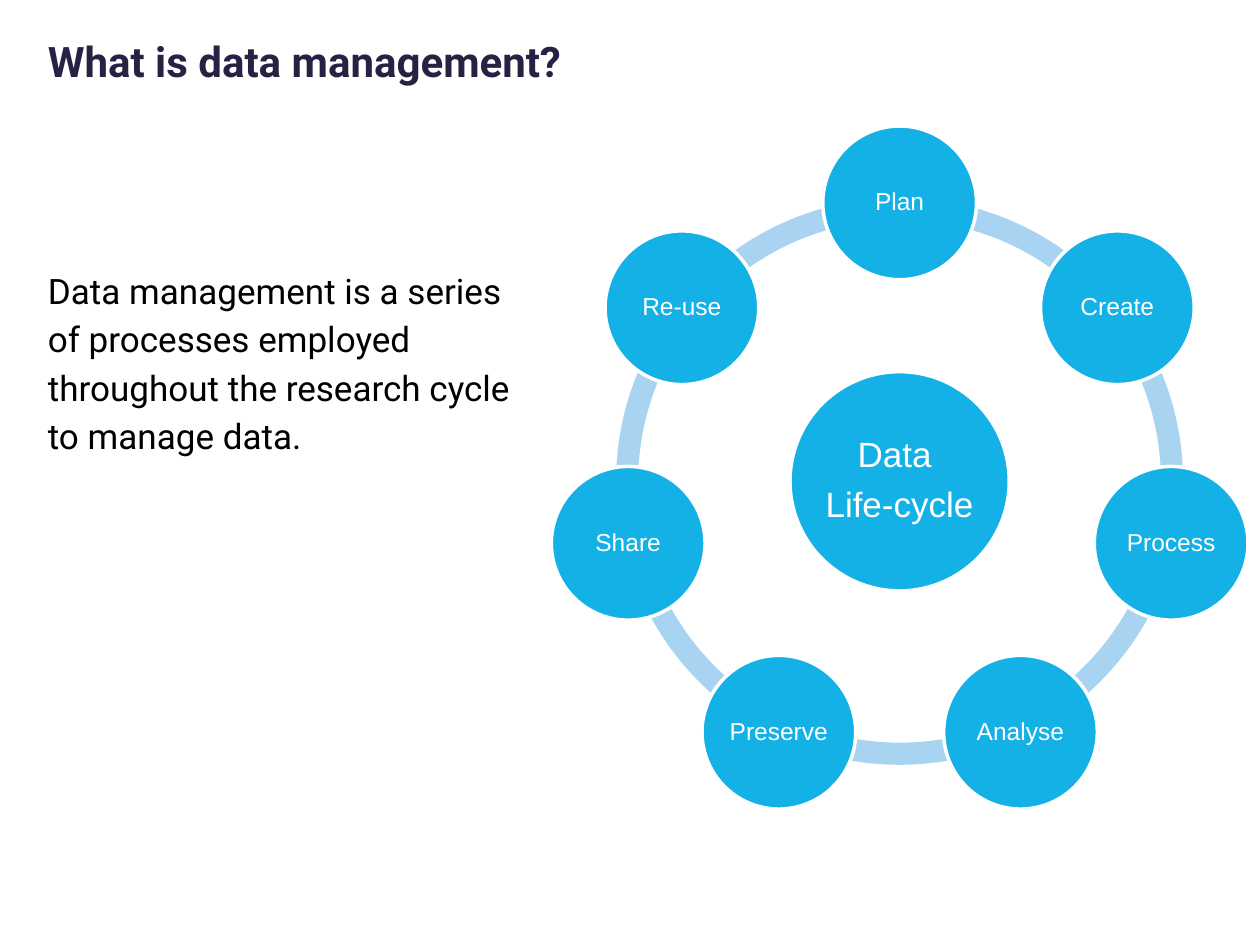
"""Build a slide that explains data management beside a data life-cycle ring."""
from math import cos, radians, sin

from lxml import etree
from pptx import Presentation
from pptx.dml.color import RGBColor
from pptx.enum.shapes import MSO_SHAPE
from pptx.enum.text import MSO_ANCHOR, MSO_AUTO_SIZE, PP_ALIGN
from pptx.oxml.ns import qn
from pptx.util import Inches, Pt

ARC, ELLIPSE = MSO_SHAPE.BLOCK_ARC, MSO_SHAPE.OVAL
TOP, MIDDLE = MSO_ANCHOR.TOP, MSO_ANCHOR.MIDDLE
LEFT, CENTER = PP_ALIGN.LEFT, PP_ALIGN.CENTER
NO_FIT = MSO_AUTO_SIZE.NONE

NAVY = RGBColor(0x25, 0x22, 0x44)
BLACK = RGBColor(0x00, 0x00, 0x00)
WHITE = RGBColor(0xFF, 0xFF, 0xFF)
BLUE = RGBColor(0x14, 0xB1, 0xE7)
PALE_BLUE = RGBColor(0xA9, 0xD4, 0xF1)

STAGES = ["Plan", "Create", "Process", "Analyse", "Preserve", "Share", "Re-use"]
CENTER_X, CENTER_Y = 7.14, 3.82
RING_SIZE, HUB_SIZE, STAGE_SIZE = 4.5, 1.74, 1.22
ORBIT = 2.21
STEP = 360 / len(STAGES)


class SlideBuilder:
    """Hold the style and the current slide."""

    text_font = "Roboto"
    diagram_font = "Arial"

    def __init__(self, page):
        self.page = page

    def style(self, para, font, size, color, align, spacing, bold=False):
        """Format one paragraph and its runs."""
        para.alignment = align
        para.line_spacing = spacing
        para.space_before = Pt(0)
        for span in para.runs:
            span.font.name = font
            span.font.size = Pt(size)
            span.font.color.rgb = color
            span.font.bold = bold

    def placeholder(self, box, area, text, size, color, spacing, bold=False, inset=0.05):
        """Move and fill a placeholder."""
        box.left, box.top, box.width, box.height = map(Inches, area)
        frame = box.text_frame
        frame.text = text
        frame.word_wrap = True
        frame.auto_size = NO_FIT
        frame.vertical_anchor = TOP
        frame.margin_top = Inches(inset)
        para = frame.paragraphs[0]
        self.style(para, self.text_font, size, color, LEFT, spacing, bold)
        properties = para._p.get_or_add_pPr()
        properties.set("marL", "0")
        properties.set("indent", "0")
        etree.SubElement(properties, qn("a:buNone"))

    def round_shape(self, kind, x, y, size, color):
        """Add a filled shape of equal sides around a centre point."""
        shape = self.page.shapes.add_shape(
            kind, Inches(x - size / 2), Inches(y - size / 2), Inches(size), Inches(size))
        shape.shadow.inherit = False
        shape.fill.solid()
        shape.fill.fore_color.rgb = color
        return shape

    def arc(self, start, end):
        """Add one ring segment between two angles in degrees."""
        arc = self.round_shape(ARC, CENTER_X, CENTER_Y, RING_SIZE, PALE_BLUE)
        arc.line.fill.background()
        arc.adjustments[0] = start % 360 * 0.6
        arc.adjustments[1] = end % 360 * 0.6
        arc.adjustments[2] = 0.039

    def circle(self, x, y, size, text, text_size):
        """Add a labelled circle."""
        circle = self.round_shape(ELLIPSE, x, y, size, BLUE)
        circle.line.color.rgb = WHITE
        circle.line.width = Pt(2)
        frame = circle.text_frame
        frame.text = text
        frame.word_wrap = False
        frame.vertical_anchor = MIDDLE
        frame.margin_left = frame.margin_right = Inches(0.02)
        frame.margin_top = frame.margin_bottom = Inches(0.02)
        for index, para in enumerate(frame.paragraphs):
            self.style(para, self.diagram_font, text_size, WHITE, CENTER, 0.9)
            if index:
                para.space_before = Pt(7)


def main():
    """Build and save the deck."""
    deck = Presentation()
    deck.slide_width, deck.slide_height = Inches(10), Inches(7.5)
    page = deck.slides.add_slide(deck.slide_layouts[1])
    builder = SlideBuilder(page)

    builder.placeholder(page.placeholders[1], (0.28, 1.32, 4.06, 5.09),
                        "Data management is a series of processes employed "
                        "throughout the research cycle to manage data.",
                        20, BLACK, 1.15, inset=0.77)
    builder.placeholder(page.shapes.title, (0.28, 0.28, 9.43, 0.88),
                        "What is data management?", 24, NAVY, 0.9, bold=True)

    angles = [index * STEP - 90 for index in range(len(STAGES))]
    for angle in angles:
        builder.arc(angle, angle + STEP)
    builder.circle(CENTER_X, CENTER_Y, HUB_SIZE, "Data \nLife-cycle", 20)
    for stage, angle in zip(STAGES, angles):
        builder.circle(CENTER_X + ORBIT * cos(radians(angle)),
                       CENTER_Y + ORBIT * sin(radians(angle)), STAGE_SIZE, stage, 14)

    deck.save("out.pptx")


if __name__ == "__main__":
    main()
